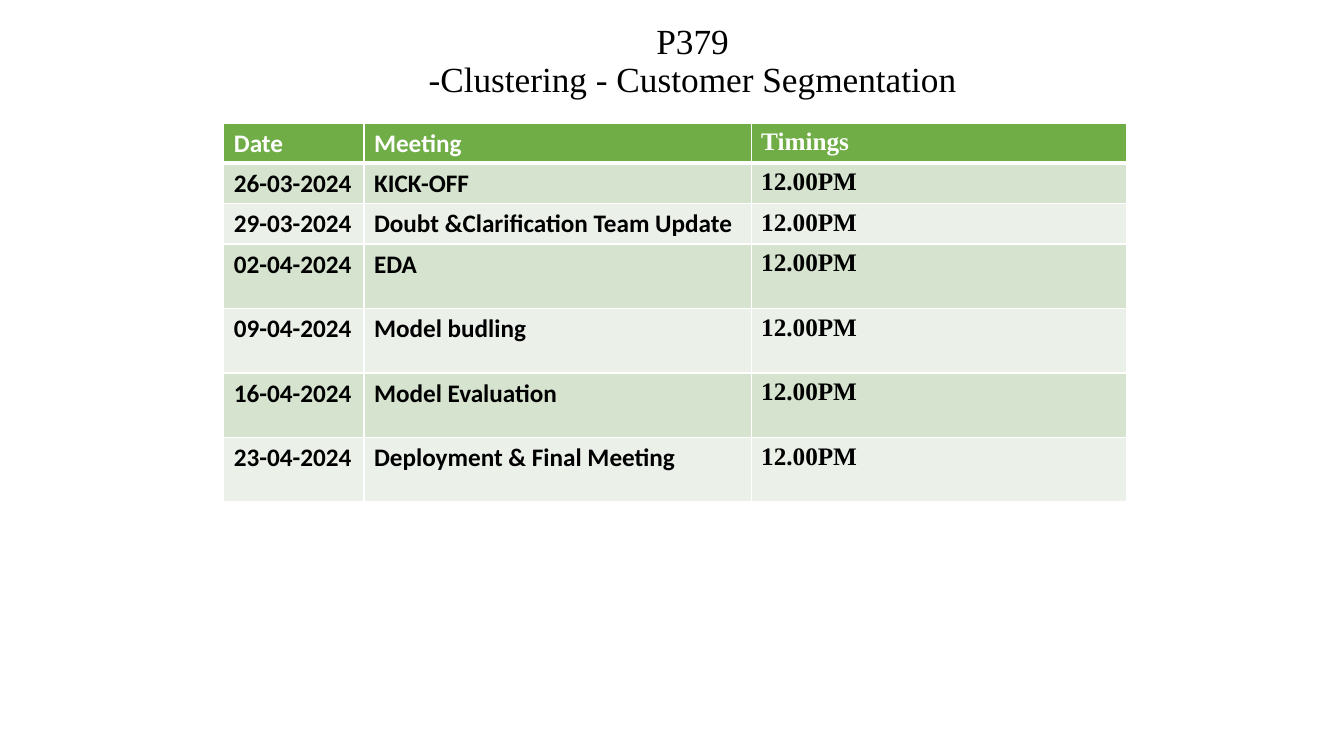
from lxml import etree
from pptx import Presentation
from pptx.dml.color import RGBColor
from pptx.enum import text
from pptx.oxml import ns
from pptx.util import Inches, Pt


def style_run(run, size, font, color, bold=False):
    for name, value in {"size": Pt(size), "name": font, "bold": bold}.items():
        setattr(run.font, name, value)
    run.font.color.rgb = RGBColor.from_string(color)


def add_border(cell, side, points, color):
    line = etree.SubElement(cell._tc.get_or_add_tcPr(), ns.qn(f"a:ln{side}"), w=str(Pt(points)))
    fill = etree.SubElement(line, ns.qn("a:solidFill"))
    etree.SubElement(fill, ns.qn("a:srgbClr"), val=color)


WHITE, BLACK, GREEN = "FFFFFF", "000000", "70AD47"
BANDS = ["EBF1E9", "D5E3CF"]
COLUMN_FONTS = ["Calibri", "Calibri", "Times New Roman"]
COLUMN_WIDTHS = [1.39, 3.84, 3.72]
ROW_HEIGHTS = [0.37] * 3 + [0.64] * 4
MEETINGS = [
    ("26-03-2024", "KICK-OFF"),
    ("29-03-2024", "Doubt &Clarification Team Update"),
    ("02-04-2024", "EDA"),
    ("09-04-2024", "Model budling"),
    ("16-04-2024", "Model Evaluation"),
    ("23-04-2024", "Deployment & Final Meeting"),
]
schedule_rows = [("Date", "Meeting", "Timings")]
schedule_rows += [(date, meeting, "12.00PM") for date, meeting in MEETINGS]

prs = Presentation()
prs.slide_width, prs.slide_height = Inches(13.33), Inches(7.5)
slide = prs.slides.add_slide(prs.slide_layouts[6])

title = slide.shapes.add_textbox(Inches(3.39), Inches(0.27), Inches(6.96), Inches(0.7)).text_frame
title.word_wrap = True
title.vertical_anchor = text.MSO_ANCHOR.MIDDLE
heading = title.paragraphs[0]
heading.text = "P379\v-Clustering - Customer Segmentation"
heading.alignment = text.PP_ALIGN.CENTER
heading.line_spacing = 0.9
for run in heading.runs:
    style_run(run, 25.2, "Times New Roman", BLACK)

schedule = slide.shapes.add_table(
    len(schedule_rows), len(COLUMN_WIDTHS), Inches(2.22), Inches(1.22),
    Inches(sum(COLUMN_WIDTHS)), Inches(sum(ROW_HEIGHTS))).table
for column, width in zip(schedule.columns, COLUMN_WIDTHS):
    column.width = Inches(width)
for row, height in zip(schedule.rows, ROW_HEIGHTS):
    row.height = Inches(height)

for r, entries in enumerate(schedule_rows):
    is_header = r == 0
    for c, entry in enumerate(entries):
        cell = schedule.cell(r, c)
        cell.text = entry
        style_run(cell.text_frame.paragraphs[0].runs[0], 18, COLUMN_FONTS[c],
                  WHITE if is_header else BLACK, bold=True)
        for side in "LRTB":
            thick = (is_header and side == "B") or (r == 1 and side == "T")
            add_border(cell, side, 3 if thick else 1, WHITE)
        cell.fill.solid()
        cell.fill.fore_color.rgb = RGBColor.from_string(GREEN if is_header else BANDS[r % 2])

prs.save("out.pptx")
